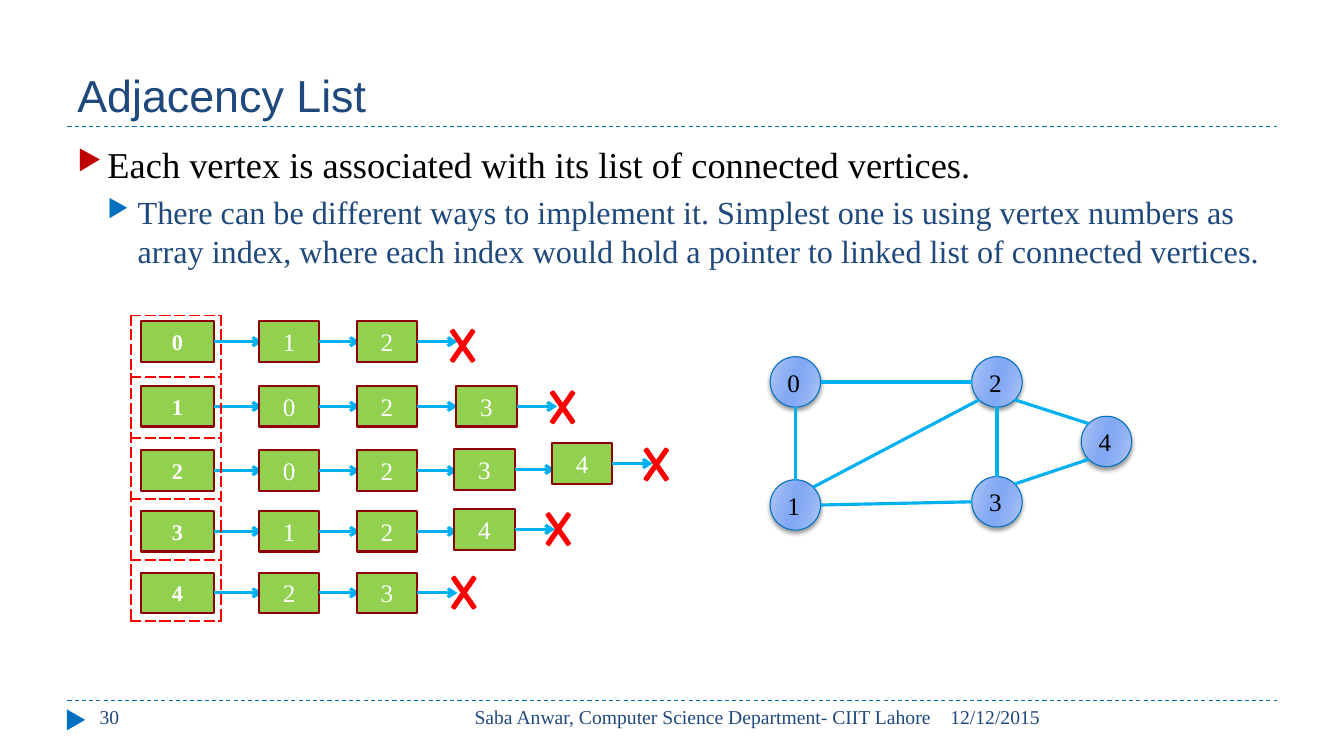
import math
from dataclasses import dataclass
from lxml import etree
from pptx import Presentation, util as u
from pptx.dml.color import RGBColor
from pptx.enum import dml, shapes, text
from pptx.oxml import parse_xml
from pptx.oxml.ns import nsdecls, qn


@dataclass(frozen=True)
class Theme:
    head: str = "Arial"
    body: str = "Times New Roman"
    navy: str = "1F497D"
    blue: str = "0070C0"
    sky: str = "00B0F0"
    green: str = "92D050"
    brown: str = "8E0000"
    red: str = "FF0000"
    dark: str = "C00000"
    black: str = "000000"
    white: str = "FFFFFF"
    glow: tuple = ((0, "B4C9F6"), (30, "90B1F4"), (45, "83A9F4"),
                   (55, "83A9F4"), (73, "90B1F4"), (100, "B4C9F6"))
    title: int = 32
    lead: int = 26
    sub: int = 23
    node: int = 18
    index: int = 16
    foot: int = 14


T = Theme()
Kind = shapes.MSO_SHAPE
Align = text.PP_ALIGN
Anchor = text.MSO_ANCHOR


def rgb(code):
    return RGBColor.from_string(code)


def cm(*nums):
    return [u.Cm(n) for n in nums]


def put(frame, words, size, color, font=T.body, bold=False, align=None,
        anchor=Anchor.TOP, wrap=True, bullet=None, level=0, before=0):
    """Write one paragraph; a later call on the same frame adds another."""
    frame.word_wrap = wrap
    frame.vertical_anchor = anchor
    para = frame.add_paragraph() if frame.text else frame.paragraphs[0]
    para.level = level
    if bullet:
        props = para._p.get_or_add_pPr()
        props.set("marL", str(u.Cm(0.76 * (level + 1))))
        props.set("indent", str(u.Cm(-0.76)))
        shade = etree.SubElement(props, qn("a:buClr"))
        etree.SubElement(shade, qn("a:srgbClr"), val=bullet)
        etree.SubElement(props, qn("a:buSzPct"), val="76000")
        etree.SubElement(props, qn("a:buChar"), char="▶")
    para.space_before = u.Pt(before)
    if align is not None:
        para.alignment = align
    run = para.add_run()
    run.text = words
    run.font.size, run.font.name, run.font.bold = u.Pt(size), font, bold
    run.font.color.rgb = rgb(color)


def label(slide, box, words, size, color, **fmt):
    put(slide.shapes.add_textbox(*cm(*box)).text_frame, words, size, color, **fmt)


def shape(slide, kind, box, fill, edge=None, width=1.5):
    item = slide.shapes.add_shape(kind, *cm(*box))
    item.fill.solid()
    item.fill.fore_color.rgb = rgb(fill)
    if edge:
        item.line.color.rgb = rgb(edge)
        item.line.width = u.Pt(width)
    else:
        item.line.fill.background()
    item.shadow.inherit = False
    return item


def line(slide, start, end, color=T.sky, width=2.25, dash=None, arrow=False):
    link = slide.shapes.add_connector(shapes.MSO_CONNECTOR.STRAIGHT, *cm(*start, *end))
    link.line.color.rgb = rgb(color)
    link.line.width = u.Pt(width)
    if dash:
        link.line.dash_style = dash
    if arrow:
        etree.SubElement(link.line._get_or_add_ln(), qn("a:headEnd"), type="arrow")
    etree.SubElement(link._element.spPr, qn("a:effectLst"))
    return link


def rule(slide, x, y, wide):
    line(slide, (x, y), (x + wide, y), T.blue, 0.75, dml.MSO_LINE.DASH)


def header(slide, x, y, wide, high):
    label(slide, (x, y, wide, high), "Adjacency List", T.title, T.navy,
          font=T.head, anchor=Anchor.BOTTOM)
    rule(slide, x, y + high, wide)


def footer(slide, x, y, wide):
    rule(slide, x, y, wide)
    mark = shape(slide, Kind.ISOSCELES_TRIANGLE, (x - 0.05, y + 0.26, 0.53, 0.46), T.blue)
    mark.rotation = 90
    parts = ((0.56, 7.34, "30", Align.LEFT),
             (9.04, 12.98, "Saba Anwar, Computer Science Department- CIIT Lahore", Align.RIGHT),
             (22, 8.48, "12/12/2015", Align.LEFT))
    for dx, width, words, align in parts:
        label(slide, (x + dx, y, width, 1.02), words, T.foot, T.navy, align=align)


def points(slide, *box):
    frame = slide.shapes.add_textbox(*cm(*box)).text_frame
    put(frame, "Each vertex is associated with its list of connected vertices.",
        T.lead, T.black, bullet=T.dark)
    put(frame, "There can be different ways to implement it. Simplest one is using vertex "
        "numbers as array index, where each index would hold a pointer to linked list of "
        "connected vertices.", T.sub, T.navy, bullet=T.blue, level=1, before=5)


def graph(slide, x, y):
    size = 1.27
    spots = ((0, 0), (0, 3.1), (5.08, 0), (5.08, 3.02), (7.84, 1.5))
    edges = ((2, 0), (3, 1), (4, 3), (0, 1), (2, 1), (4, 2), (3, 2))
    # Vertices
    for name, (dx, dy) in enumerate(spots):
        disc = shape(slide, Kind.OVAL, (x + dx, y + dy, size, size), T.blue, T.blue, 0.75)
        disc.fill.gradient()
        disc.fill.gradient_angle = 344
        stops = disc._element.spPr.find(".//" + qn("a:gsLst"))
        stops.clear()
        for place, color in T.glow:
            stop = etree.SubElement(stops, qn("a:gs"), pos=str(place * 1000))
            etree.SubElement(stop, qn("a:srgbClr"), val=color)
        disc._element.spPr.find(qn("a:effectLst")).append(parse_xml(
            f'<a:outerShdw {nsdecls("a")} blurRad="{u.Pt(3)}" dist="{u.Pt(2)}" dir="5400000" '
            f'rotWithShape="0"><a:srgbClr val="{T.black}"><a:alpha val="40000"/></a:srgbClr>'
            '</a:outerShdw>'))
        put(disc.text_frame, str(name), T.node, T.black, align=Align.LEFT,
            anchor=Anchor.MIDDLE, wrap=False)

    # Edges meet each rim at the nearest multiple of 45 degrees
    def rim(here, there):
        (ax, ay), (bx, by) = spots[here], spots[there]
        turn = round(math.atan2(by - ay, bx - ax) / (math.pi / 4)) * math.pi / 4
        half = size / 2
        return x + ax + half + half * math.cos(turn), y + ay + half + half * math.sin(turn)

    for a, b in edges:
        line(slide, rim(a, b), rim(b, a))


def cell(slide, x, y, wide, reach, words, size, bold=False):
    """A list box with an arrow leaving its right side."""
    high = 1.02
    box = shape(slide, Kind.RECTANGLE, (x, y, wide, high), T.green, T.brown)
    put(box.text_frame, words, size, T.white, bold=bold, align=Align.CENTER,
        anchor=Anchor.MIDDLE)
    mid, right = y + high / 2, x + wide
    link = line(slide, (right + reach, mid), (right, mid), arrow=True)
    link.end_connect(box, 3)


def lists(slide, x, y):
    # Row top, linked vertices, place of the closing cross
    rows = ((0.15, "12", (7.85, 0.03)), (1.78, "023", (10.37, 1.58)),
            (3.4, "0234", (12.73, 3.02)), (4.93, "124", (10.26, 4.65)),
            (6.48, "23", (7.88, 6.25)))
    nudge = {(1, 2): (0.05, 0), (2, 2): (0, -0.03), (2, 3): (0, -0.18), (3, 2): (0, -0.05)}
    for row, (top, links, _) in enumerate(rows):
        cell(slide, x + 0.26, y + top, 1.83, 1.22, str(row), T.index, True)
        for col, name in enumerate(links):
            dx, dy = nudge.get((row, col), (0, 0))
            cell(slide, x + 3.23 + 2.46 * col + dx, y + top + dy, 1.52, 1.02, name, T.node)
    for _, _, (dx, dy) in rows:
        cross = shape(slide, Kind.MATH_MULTIPLY, (x + dx, y + dy, 1.02, 1.47), T.red, T.red)
        cross.adjustments[0] = 0.077
    frame(slide, x, y, 2.26, 7.7, len(rows))


def frame(slide, x, y, wide, high, count):
    """Dashed array around the index boxes."""
    grid = slide.shapes.add_table(count, 1, *cm(x, y, wide, high)).table
    grid.first_row = grid.horz_banding = False
    for slot in grid.iter_cells():
        slot.fill.background()
        props = slot._tc.get_or_add_tcPr()
        for place, side in enumerate("LRTB"):
            props.insert(place, parse_xml(
                f'<a:ln{side} {nsdecls("a")} w="{u.Pt(1.5)}"><a:solidFill>'
                f'<a:srgbClr val="{T.red}"/></a:solidFill><a:prstDash val="sysDash"/>'
                f'</a:ln{side}>'))


def main():
    deck = Presentation()
    deck.slide_width, deck.slide_height = cm(33.87, 19.05)
    slide = deck.slides.add_slide(deck.slide_layouts[6])
    header(slide, 1.7, 0.43, 30.48, 2.75)
    footer(slide, 1.7, 17.65, 30.48)
    points(slide, 1.7, 3.45, 30.48, 13.65)
    graph(slide, 19.41, 8.99)
    lists(slide, 3.3, 7.95)
    deck.save("out.pptx")


if __name__ == "__main__":
    main()
